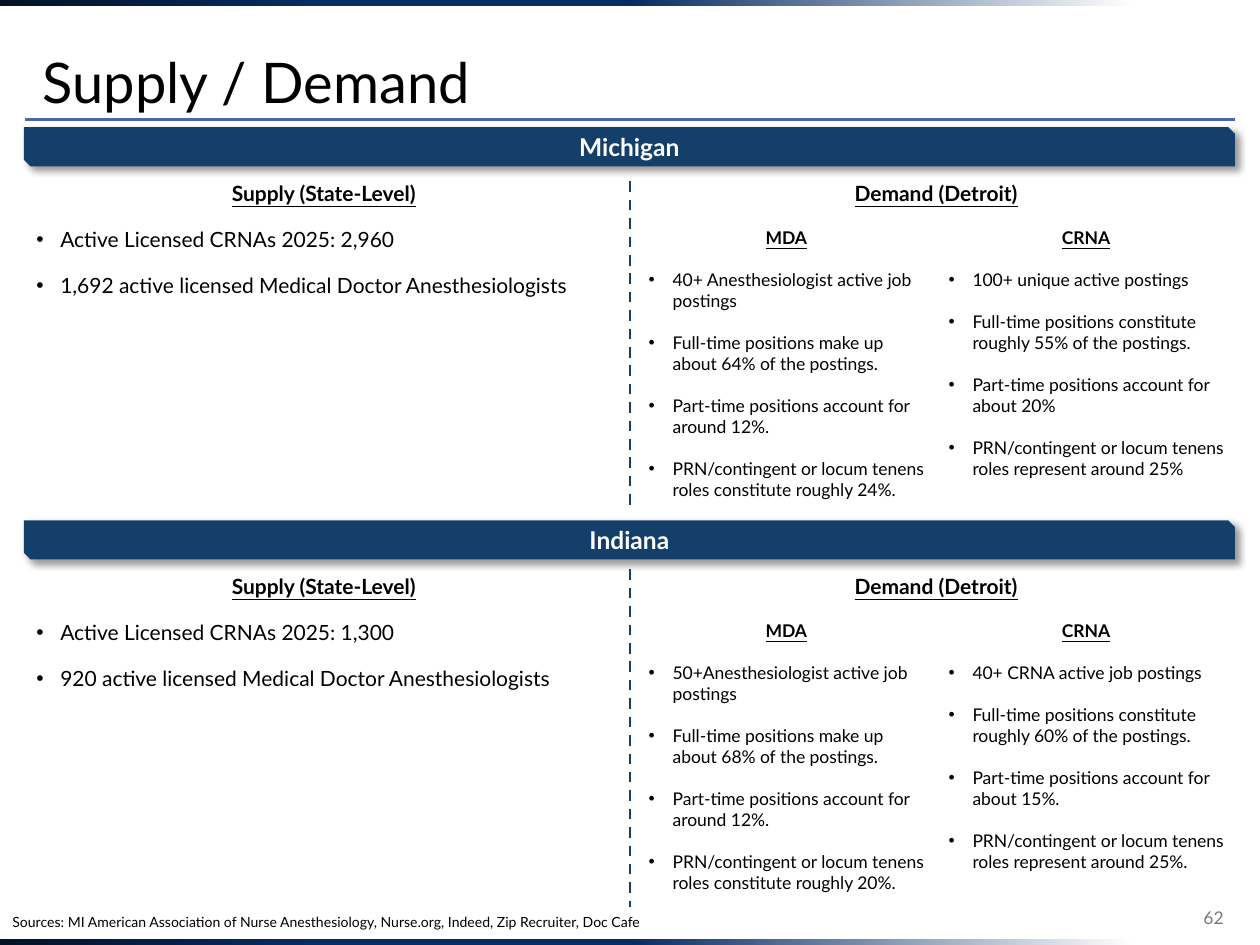
from dataclasses import dataclass

from lxml.etree import SubElement
from pptx import Presentation
from pptx.dml.color import RGBColor
from pptx.enum.dml import MSO_LINE
from pptx.enum.shapes import MSO_CONNECTOR, MSO_SHAPE
from pptx.enum.text import MSO_ANCHOR, PP_ALIGN
from pptx.oxml import parse_xml
from pptx.oxml.ns import nsdecls, qn
from pptx.util import Inches, Pt


@dataclass(frozen=True)
class Theme:
    font: str = "Lato"
    ink: str = "000000"
    white: str = "FFFFFF"
    navy: str = "143F6A"
    rule: str = "4A66AC"
    grey: str = "797979"
    edge_dark: str = "031227"
    edge_blue: str = "072C62"
    title: int = 32
    banner: int = 14
    heading: int = 12
    detail: int = 10
    note: int = 8


theme = Theme()

states = [
    {
        "name": "Michigan",
        "top": 1.01,
        "divider": (1.44, 4.05),
        "supply": ["Active Licensed CRNAs 2025: 2,960",
                   "1,692 active licensed Medical Doctor Anesthesiologists"],
        "MDA": ["40+ Anesthesiologist active job postings",
                "Full-time positions make up about 64% of the postings.",
                "Part-time positions account for around 12%.",
                "PRN/contingent or locum tenens roles constitute roughly 24%."],
        "CRNA": ["100+ unique active postings",
                 "Full-time positions constitute roughly 55% of the postings.",
                 "Part-time positions account for about 20%",
                 "PRN/contingent or locum tenens roles represent around 25%"],
    },
    {
        "name": "Indiana",
        "top": 4.13,
        "divider": (4.52, 7.2),
        "supply": ["Active Licensed CRNAs 2025: 1,300",
                   "920 active licensed Medical Doctor Anesthesiologists"],
        "MDA": ["50+Anesthesiologist active job postings",
                "Full-time positions make up about 68% of the postings.",
                "Part-time positions account for around 12%.",
                "PRN/contingent or locum tenens roles constitute roughly 20%."],
        "CRNA": ["40+ CRNA active job postings",
                 "Full-time positions constitute roughly 60% of the postings.",
                 "Part-time positions account for about 15%.",
                 "PRN/contingent or locum tenens roles represent around 25%."],
    },
]


def add_text(frame, text, size, color=theme.ink, align=PP_ALIGN.LEFT,
             bold=False, underline=False, bullet=False):
    first = not frame.paragraphs[0].runs
    paragraph = frame.paragraphs[0] if first else frame.add_paragraph()
    if bullet:
        properties = paragraph._p.get_or_add_pPr()
        properties.set("marL", str(Inches(0.19)))
        properties.set("indent", str(-Inches(0.19)))
        SubElement(properties, qn("a:buFont"), typeface="Arial")
        SubElement(properties, qn("a:buChar"), char="•")
    paragraph.alignment = align
    if not first:
        paragraph.space_before = Pt(6)
    paragraph.space_after = Pt(6)
    run = paragraph.add_run()
    run.text = text
    run.font.name = theme.font
    run.font.size = Pt(size)
    run.font.bold = bold
    run.font.underline = underline
    run.font.color.rgb = RGBColor.from_string(color)


def add_rule(shapes, start, end, color):
    rule = shapes.add_connector(MSO_CONNECTOR.STRAIGHT, Inches(start[0]), Inches(start[1]),
                                Inches(end[0]), Inches(end[1]))
    rule.line.color.rgb = RGBColor.from_string(color)
    rule.line.width = Pt(1.5)
    SubElement(rule._element.spPr, qn("a:effectLst"))
    return rule


deck = Presentation()
deck.slide_width, deck.slide_height = Inches(10), Inches(7.5)
slide = deck.slides.add_slide(deck.slide_layouts[5])
shapes = slide.shapes

add_rule(shapes, (0.2, 0.95), (9.8, 0.95), theme.rule)

edge_stops = [(0, theme.edge_dark), (25, theme.edge_blue), (50, theme.edge_blue), (90, theme.white)]
for edge_top in (7.45, 0):
    edge = shapes.add_shape(MSO_SHAPE.RECTANGLE, 0, Inches(edge_top), Inches(10), Inches(0.05))
    edge.shadow.inherit = False
    edge.line.fill.background()
    stops = "".join(f'<a:gs pos="{position * 1000}"><a:srgbClr val="{color}"/></a:gs>'
                    for position, color in edge_stops)
    edge._element.spPr.find(qn("a:prstGeom")).addnext(parse_xml(
        f'<a:gradFill {nsdecls("a")}><a:gsLst>{stops}</a:gsLst><a:lin ang="0" scaled="0"/></a:gradFill>'))

title = shapes.title
title.left, title.top, title.width, title.height = Inches(0.24), Inches(0.24), Inches(9.51), Inches(0.73)
title.text_frame.vertical_anchor = MSO_ANCHOR.BOTTOM
add_text(title.text_frame, "Supply / Demand", theme.title)
title.text_frame.paragraphs[0].line_spacing = 0.9
title.text_frame.paragraphs[0].space_after = Pt(0)

for state in states:
    top = state["top"]
    banner = shapes.add_shape(MSO_SHAPE.SNIP_2_DIAG_RECTANGLE, Inches(0.19), Inches(top),
                              Inches(9.61), Inches(0.31))
    banner.fill.solid()
    banner.fill.fore_color.rgb = RGBColor.from_string(theme.navy)
    banner.line.fill.background()
    banner.shadow.inherit = False
    banner._element.spPr.find(qn("a:effectLst")).append(parse_xml(
        f'<a:outerShdw {nsdecls("a")} blurRad="{Pt(4)}" dist="{Pt(3)}" dir="2700000" algn="tl" '
        f'rotWithShape="0"><a:srgbClr val="{theme.ink}"><a:alpha val="40000"/></a:srgbClr></a:outerShdw>'))
    banner.text_frame.vertical_anchor = MSO_ANCHOR.MIDDLE
    add_text(banner.text_frame, state["name"], theme.banner, theme.white, PP_ALIGN.CENTER, bold=True)
    banner.text_frame.paragraphs[0].space_after = Pt(0)

    divider_top, divider_bottom = state["divider"]
    divider = add_rule(shapes, (5, divider_top), (5, divider_bottom), theme.navy)
    divider.line.dash_style = MSO_LINE.DASH

    columns = [
        ("Supply (State-Level)", state["supply"], theme.heading, 0.19, 0.37, 4.76, 1.41),
        ("Demand (Detroit)", [], theme.heading, 5.05, 0.37, 4.76, 0.3),
        ("MDA", state["MDA"], theme.detail, 5.05, 0.74, 2.38, 2.29),
        ("CRNA", state["CRNA"], theme.detail, 7.43, 0.74, 2.38, 2.12),
    ]
    for heading, points, size, left, offset, width, height in columns:
        column = shapes.add_textbox(Inches(left), Inches(top + offset), Inches(width), Inches(height))
        column.text_frame.word_wrap = True
        add_text(column.text_frame, heading, size, align=PP_ALIGN.CENTER, bold=True, underline=True)
        for point in points:
            add_text(column.text_frame, point, size, bullet=True)

sources = shapes.add_textbox(0, Inches(7.2), Inches(9.51), Inches(0.24))
sources.text_frame.word_wrap = True
add_text(sources.text_frame,
         "Sources: MI American Association of Nurse Anesthesiology, Nurse.org, Indeed, Zip Recruiter, Doc Cafe",
         theme.note)

page_number = shapes.add_textbox(Inches(8.17), Inches(7.08), Inches(1.64), Inches(0.4))
page_number.text_frame.word_wrap = True
page_number.text_frame.vertical_anchor = MSO_ANCHOR.MIDDLE
add_text(page_number.text_frame, "62", theme.detail, theme.grey, PP_ALIGN.RIGHT)
page_number.text_frame.paragraphs[0].space_after = Pt(0)

deck.save("out.pptx")
